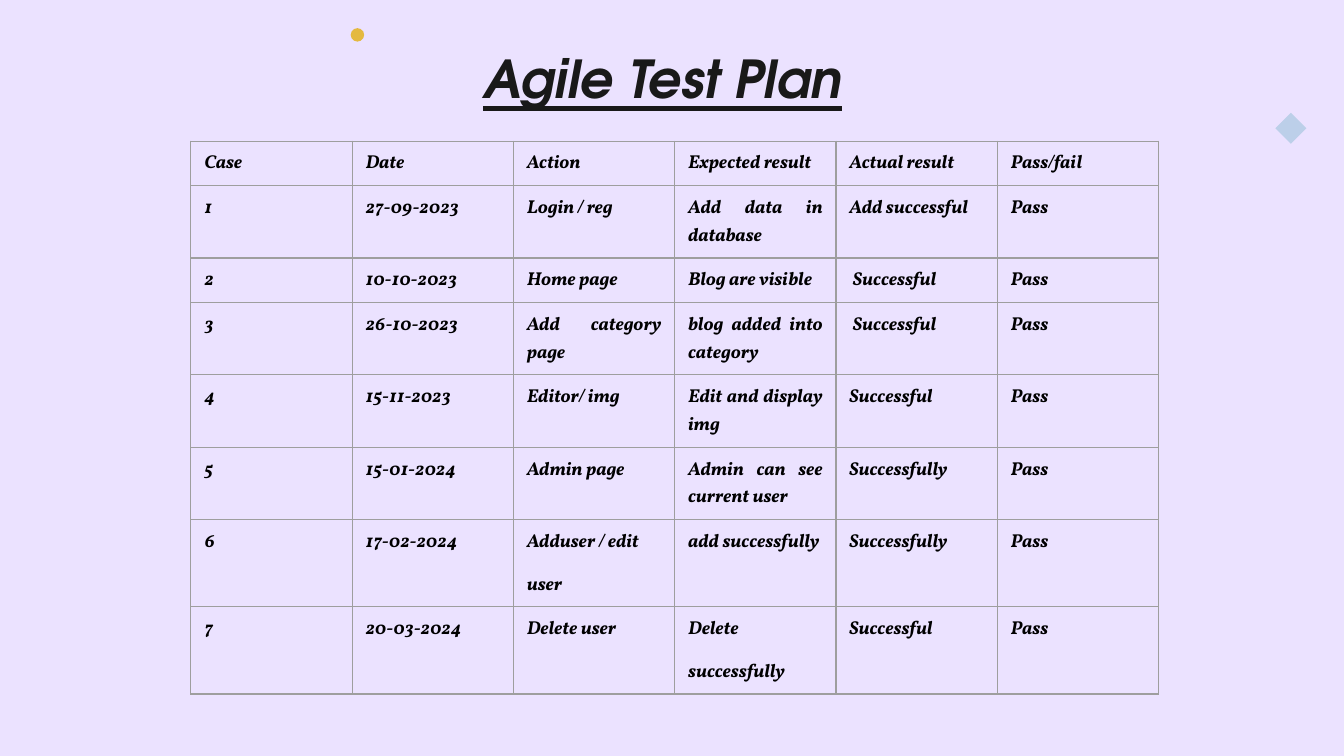
from lxml import etree
from pptx import Presentation
from pptx.dml.color import RGBColor
from pptx.enum.shapes import MSO_SHAPE
from pptx.enum.text import MSO_ANCHOR, PP_ALIGN
from pptx.oxml.ns import qn
from pptx.util import Inches, Pt

CENTER, JUSTIFY = PP_ALIGN.CENTER, PP_ALIGN.JUSTIFY
MIDDLE = MSO_ANCHOR.MIDDLE
OVAL, DIAMOND = MSO_SHAPE.OVAL, MSO_SHAPE.DIAMOND

COLORS = {
    "background": "EBE2FF",
    "title": "191919",
    "text": "000000",
    "border": "9E9E9E",
    "dot": "E4B940",
    "diamond": "BCCFE9",
}
TITLE = "Agile Test Plan"
TITLE_FONT, TABLE_FONT = "TeX Gyre Adventor", "Vollkorn"

TEST_CASES = [
    ("Case", "Date", "Action", "Expected result", "Actual result", "Pass/fail"),
    ("1", "27-09-2023", "Login / reg", "Add data in database", "Add successful", "Pass"),
    ("2", "10-10-2023", "Home page", "Blog are visible", " Successful", "Pass"),
    ("3", "26-10-2023", "Add category page", "blog added into category", " Successful", "Pass"),
    ("4", "15-11-2023", "Editor/ img", "Edit and display img", "Successful", "Pass"),
    ("5", "15-01-2024", "Admin page", "Admin can see current user", "Successfully", "Pass"),
    ("6", "17-02-2024", "Adduser / edit\nuser", "add successfully", "Successfully", "Pass"),
    ("7", "20-03-2024", "Delete user", "Delete\nsuccessfully", "Successful", "Pass"),
]
ROW_HEIGHTS = [0.3, 0.49, 0.3, 0.49, 0.49, 0.49, 0.59, 0.59]
COLUMN_WIDTH = 1.2

ORNAMENTS = [
    (OVAL, 2.61, 0.21, 0.1, "dot"),
    (DIAMOND, 9.49, 0.84, 0.23, "diamond"),
]


def rgb(name):
    return RGBColor.from_string(COLORS[name])


def style_font(font, name, size, color):
    font.name = name
    font.size = Pt(size)
    font.bold = font.italic = True
    font.color.rgb = rgb(color)


def add_borders(cell):
    properties = cell._tc.get_or_add_tcPr()
    for side in ("a:lnL", "a:lnR", "a:lnT", "a:lnB"):
        line = etree.SubElement(properties, qn(side), w=str(Pt(0.75)))
        fill = etree.SubElement(line, qn("a:solidFill"))
        etree.SubElement(fill, qn("a:srgbClr"), val=COLORS["border"])


def fill_cell(cell, text):
    cell.text = text
    cell.margin_left = cell.margin_right = Inches(0.1)
    cell.margin_top = cell.margin_bottom = Pt(4.5)
    add_borders(cell)
    cell.fill.background()
    for paragraph in cell.text_frame.paragraphs:
        paragraph.alignment = JUSTIFY
        paragraph.line_spacing = 1.07
        paragraph.space_after = Pt(8)
        style_font(paragraph.font, TABLE_FONT, 10, "text")


def add_ornaments(slide):
    for kind, left, top, size, color in ORNAMENTS:
        ornament = slide.shapes.add_shape(
            kind, Inches(left), Inches(top), Inches(size), Inches(size))
        ornament.shadow.inherit = False
        ornament.fill.solid()
        ornament.fill.fore_color.rgb = rgb(color)
        ornament.line.fill.background()


def add_test_table(slide):
    columns = len(TEST_CASES[0])
    table = slide.shapes.add_table(
        len(TEST_CASES), columns, Inches(1.42), Inches(1.05),
        Inches(COLUMN_WIDTH * columns), Inches(sum(ROW_HEIGHTS))).table
    table.first_row = table.horz_banding = False
    for column in table.columns:
        column.width = Inches(COLUMN_WIDTH)
    for row, height, case in zip(table.rows, ROW_HEIGHTS, TEST_CASES):
        row.height = Inches(height)
        for cell, text in zip(row.cells, case):
            fill_cell(cell, text)


def set_title(slide):
    title = slide.shapes.title
    title.left, title.top = Inches(3.41), Inches(0.29)
    title.width, title.height = Inches(3.04), Inches(0.57)
    frame = title.text_frame
    frame.text = TITLE
    frame.word_wrap = False
    frame.vertical_anchor = MIDDLE
    heading = frame.paragraphs[0]
    heading.alignment = CENTER
    style_font(heading.font, TITLE_FONT, 28, "title")
    heading.font.underline = True


def main():
    deck = Presentation()
    deck.slide_width = Inches(10)
    deck.slide_height = deck.slide_width * 9 // 16
    slide = deck.slides.add_slide(deck.slide_layouts[5])
    slide.background.fill.solid()
    slide.background.fill.fore_color.rgb = rgb("background")
    add_ornaments(slide)
    add_test_table(slide)
    set_title(slide)
    deck.save("out.pptx")


if __name__ == "__main__":
    main()
